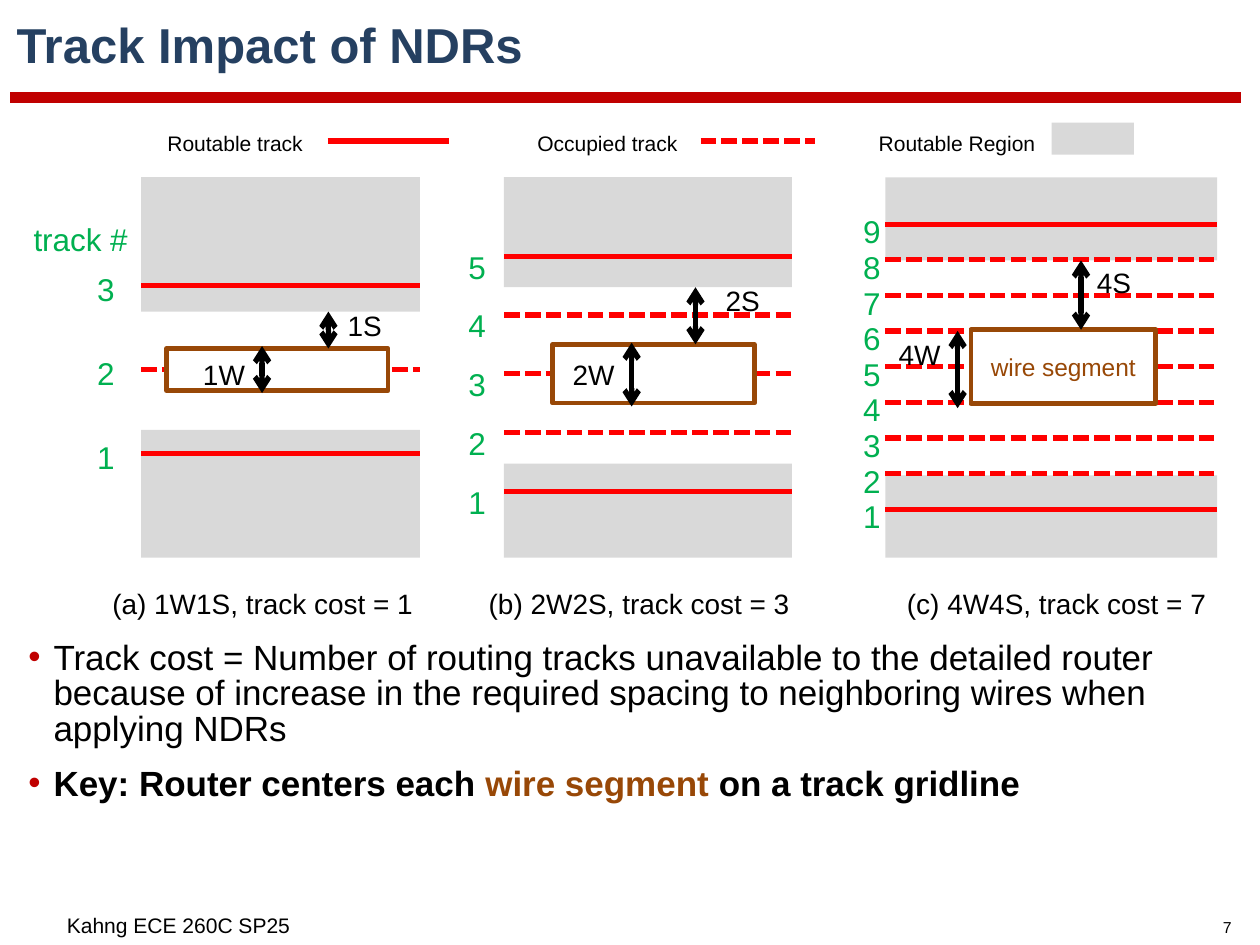
"""Build the slide on track cost under non-default routing rules."""
from dataclasses import dataclass

from lxml.etree import SubElement
from pptx import Presentation
from pptx.dml.color import RGBColor
from pptx.enum.dml import MSO_LINE
from pptx.enum.shapes import MSO_CONNECTOR, MSO_SHAPE
from pptx.enum.text import MSO_ANCHOR, PP_ALIGN
from pptx.oxml.ns import qn
from pptx.util import Inches, Pt

BLACK = RGBColor(0x00, 0x00, 0x00)
WHITE = RGBColor(0xFF, 0xFF, 0xFF)
NAVY = RGBColor(0x25, 0x40, 0x61)
CRIMSON = RGBColor(0xC0, 0x00, 0x00)
RED = RGBColor(0xFF, 0x00, 0x00)
GREEN = RGBColor(0x00, 0xB0, 0x50)
BROWN = RGBColor(0x98, 0x48, 0x07)
GREY = RGBColor(0xD9, 0xD9, 0xD9)
FONT = "Arial"
COLUMNS, ROWS = 75, 56.25
REGION_TOP, REGION_BOTTOM = 10.55, 33.2
CAPTION_ROW, LEGEND_ROW = 34.4, 7.3


@dataclass
class Panel:
    """One routing example, measured in grid columns and rows."""

    left: float
    width: float
    upper_end: float
    lower_start: float
    top_track: float
    pitch: float
    tracks: int
    number_box: tuple
    number_rise: float
    wire: tuple
    wire_text: str
    width_arrow: tuple
    width_label: tuple
    spacing_column: float
    spacing_label: tuple
    caption: tuple


PANELS = [
    Panel(8.4, 16.6, 18.55, 25.6, 17, 5, 3, (1.2, 6.6), 1.4,
          (9.9, 13.2, 2.5), "", (15.6, 20.6, 23.4), ("1W", 11.1, 20.8),
          19.55, ("1S", 19.7, 17.9), ("(a) 1W1S, track cost = 1", 4.5, 22.3)),
    Panel(30, 17.15, 17.1, 27.6, 15.25, 3.5, 5, (25.6, 4.3), 1,
          (32.9, 12, 3.5), "", (37.6, 20.4, 24.2), ("2W", 33.1, 20.8),
          41.4, ("2S", 42.2, 16.4), ("(b) 2W2S, track cost = 3", 27.8, 20.5)),
    Panel(52.7, 19.75, 15.5, 28.3, 13.35, 2.12, 9, (50.4, 2.3), 1.2,
          (57.8, 11, 4.4), "wire segment", (57, 19.7, 24.3), ("4W", 52.5, 19.6),
          64.35, ("4S", 64.3, 15.3), ("(c) 4W4S, track cost = 7", 52.7, 20.4)),
]


def cells(count):
    """Turn a count of grid cells into a length."""
    return Inches(count / 10)


def style(run, size, color, bold=False):
    """Give a run its font, size, colour and weight."""
    run.font.name = FONT
    run.font.size = Pt(size)
    run.font.bold = bold
    run.font.color.rgb = color


def add_text(slide, text, box, size, color=BLACK, align=PP_ALIGN.LEFT, wrap=True):
    """Add a one-paragraph text box and return its frame."""
    frame = slide.shapes.add_textbox(*map(cells, box)).text_frame
    frame.word_wrap = wrap
    frame.text = text
    frame.paragraphs[0].alignment = align
    style(frame.paragraphs[0].runs[0], size, color)
    return frame


def add_line(slide, start, end, color=RED, width=2.25, dashed=False, arrows=False):
    """Add a straight line, dashed or with an arrowhead at both ends."""
    line = slide.shapes.add_connector(
        MSO_CONNECTOR.STRAIGHT, *map(cells, (*start, *end)))
    line.line.color.rgb = color
    line.line.width = Pt(width)
    if dashed:
        line.line.dash_style = MSO_LINE.SQUARE_DOT
    if arrows:
        outline = line.line._get_or_add_ln()
        for end_tag in ("a:headEnd", "a:tailEnd"):
            SubElement(outline, qn(end_tag), type="arrow")
    SubElement(line._element.spPr, qn("a:effectLst"))


def add_block(slide, box, fill, outline=None, text=""):
    """Add a rectangle for a routable region or a wire segment."""
    block = slide.shapes.add_shape(MSO_SHAPE.RECTANGLE, *map(cells, box))
    block.shadow.inherit = False
    block.fill.solid()
    block.fill.fore_color.rgb = fill
    if outline is None:
        block.line.fill.background()
    else:
        block.line.color.rgb = outline
        block.line.width = Pt(2)
    if text:
        frame = block.text_frame
        frame.text = text
        frame.vertical_anchor = MSO_ANCHOR.MIDDLE
        frame.paragraphs[0].alignment = PP_ALIGN.CENTER
        style(frame.paragraphs[0].runs[0], 10.5, BROWN)


def add_panel(slide, panel):
    """Draw the regions, tracks, wire, dimensions and caption of one example."""
    for top, bottom in ((REGION_TOP, panel.upper_end),
                        (panel.lower_start, REGION_BOTTOM)):
        add_block(slide, (panel.left, top, panel.width, bottom - top), GREY)

    number_left, number_width = panel.number_box
    for index in range(panel.tracks):
        row = panel.top_track + index * panel.pitch
        occupied = 0 < index < panel.tracks - 1
        add_line(slide, (panel.left, row), (panel.left + panel.width, row),
                 dashed=occupied)
        add_text(slide, str(panel.tracks - index),
                 (number_left, row - panel.number_rise, number_width, 3.3),
                 13.5, GREEN, PP_ALIGN.RIGHT)

    wire_left, wire_width, wire_height = panel.wire
    gridline = panel.top_track + panel.pitch * (panel.tracks - 1) / 2
    wire_top = gridline - wire_height / 2
    add_block(slide, (wire_left, wire_top, wire_width, wire_height),
              WHITE, BROWN, panel.wire_text)

    spacing_arrow = (panel.spacing_column, panel.upper_end, wire_top)
    for column, start, end in (panel.width_arrow, spacing_arrow):
        add_line(slide, (column, start), (column, end), BLACK, arrows=True)
    for label, left, top in (panel.width_label, panel.spacing_label):
        add_text(slide, label, (left, top, 4.5, 3), 12, wrap=False)

    caption, left, width = panel.caption
    add_text(slide, caption, (left, CAPTION_ROW, width, 3), 12,
             align=PP_ALIGN.CENTER)


def add_legend(slide):
    """Explain the two track styles and the region colour."""
    for label, left, width in (("Routable track", 6.5, 12.5),
                               ("Occupied track", 28.8, 12.5),
                               ("Routable Region", 45, 17.6)):
        add_text(slide, label, (left, LEGEND_ROW, width, 2.5), 9,
                 align=PP_ALIGN.RIGHT)
    add_line(slide, (19.5, 8.4), (26.7, 8.4))
    add_line(slide, (41.7, 8.4), (48.5, 8.4), dashed=True)
    add_block(slide, (62.6, LEGEND_ROW, 4.9, 1.9), GREY)


def add_bullets(slide, bullets):
    """Add bulleted paragraphs, each a list of text, colour and weight."""
    frame = slide.shapes.add_textbox(*map(cells, (0.7, 37.7, 73.5, 15.5))).text_frame
    frame.word_wrap = True
    for index, parts in enumerate(bullets):
        paragraph = frame.add_paragraph() if index else frame.paragraphs[0]
        paragraph.line_spacing = 0.85
        paragraph.space_before = Pt(8.4)
        for text, color, bold in parts:
            run = paragraph.add_run()
            run.text = text
            style(run, 15, color, bold)
        properties = paragraph._p.get_or_add_pPr()
        properties.set("marL", str(cells(1.5)))
        properties.set("indent", str(-cells(1.5)))
        bullet_color = SubElement(properties, qn("a:buClr"))
        SubElement(bullet_color, qn("a:srgbClr"), val=str(CRIMSON))
        SubElement(properties, qn("a:buFont"), typeface=FONT)
        SubElement(properties, qn("a:buChar"), char="•")


def main():
    """Compose and save the slide."""
    deck = Presentation()
    deck.slide_width, deck.slide_height = cells(COLUMNS), cells(ROWS)
    slide = deck.slides.add_slide(deck.slide_layouts[6])

    add_line(slide, (0.6, 5.8), (73.9, 5.8), CRIMSON, 4.5)
    title = add_text(slide, "Track Impact of NDRs", (0, 0.3, 74.9, 5.3), 21, NAVY)
    title.vertical_anchor = MSO_ANCHOR.MIDDLE
    title.paragraphs[0].line_spacing = 0.8
    title.paragraphs[0].runs[0].font.bold = True

    add_legend(slide)
    for panel in PANELS:
        add_panel(slide, panel)
    add_text(slide, "track #", (0.6, 12.6, 8.4, 3.3), 13.5, GREEN, PP_ALIGN.CENTER)

    add_bullets(slide, [
        [("Track cost = Number of routing tracks unavailable to the detailed "
          "router because of increase in the required spacing to neighboring "
          "wires when applying NDRs", BLACK, False)],
        [("Key: Router centers each ", BLACK, True),
         ("wire segment ", BROWN, True),
         ("on a track gridline", BLACK, True)],
    ])
    add_text(slide, "Kahng ECE 260C SP25", (3, 53.8, 17.3, 2.1), 9)
    page = add_text(slide, "7", (71.2, 54.3, 3.7, 1.7), 6.8, align=PP_ALIGN.CENTER)
    page.margin_left = page.margin_right = cells(0.6)
    page.margin_top = page.margin_bottom = cells(0.3)
    deck.save("out.pptx")


if __name__ == "__main__":
    main()
